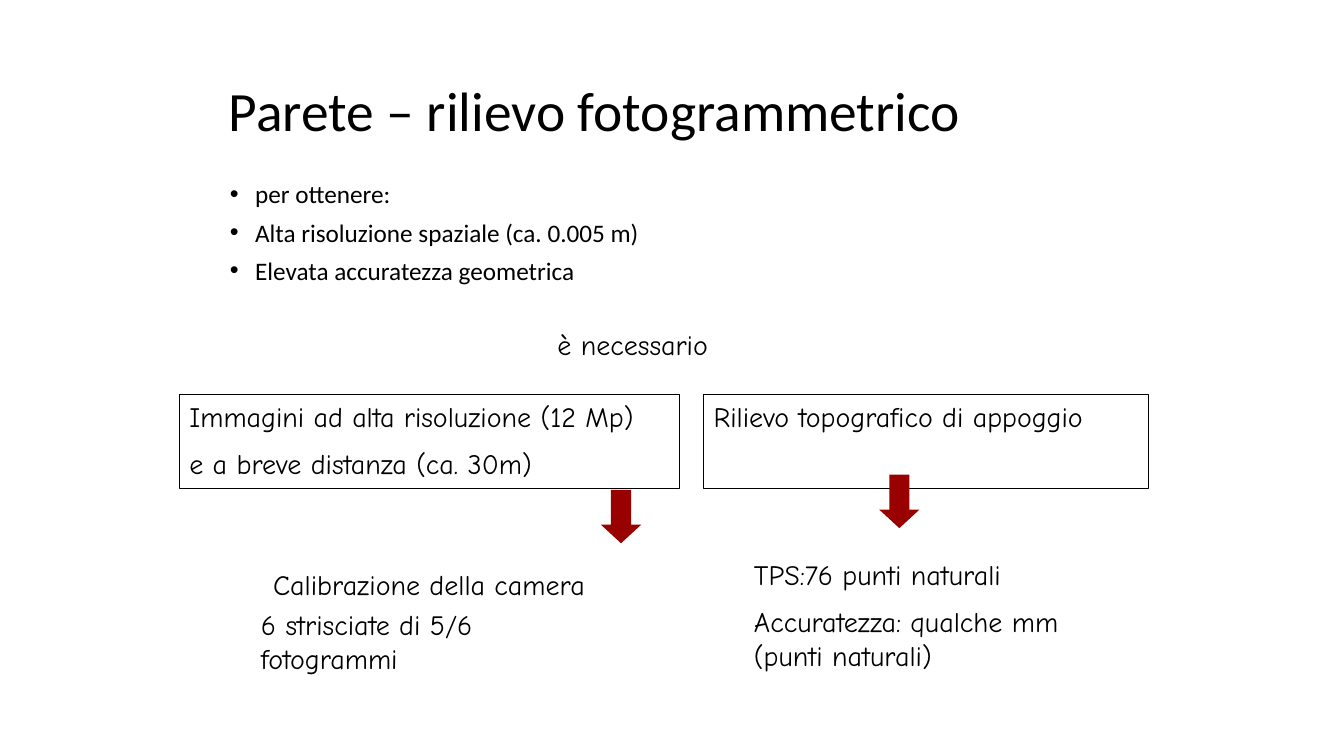
from lxml import etree
from pptx import Presentation
from pptx.dml.color import RGBColor
from pptx.enum.shapes import MSO_SHAPE as Shape
from pptx.enum.text import MSO_ANCHOR as Anchor, MSO_AUTO_SIZE as AutoSize, PP_ALIGN as Align
from pptx.oxml.ns import qn
from pptx.util import Inches, Pt

BLACK = RGBColor(0x00, 0x00, 0x00)
DARK_RED = RGBColor(0x99, 0x00, 0x00)


class SlideBuilder:
    heading_font = "Calibri"
    note_font = "Comic Neue"
    note_size = 20

    def __init__(self, slide):
        self.slide = slide

    def place(self, shape, left, top, width, height):
        shape.left, shape.top = Inches(left), Inches(top)
        shape.width, shape.height = Inches(width), Inches(height)

    def format_text(self, paragraph, font_name, size):
        for run in paragraph.runs:
            run.font.name = font_name
            run.font.size = Pt(size)
            run.font.color.rgb = BLACK

    def title(self, text, *box):
        title = self.slide.shapes.title
        self.place(title, *box)
        frame = title.text_frame
        frame.text = text
        frame.auto_size = AutoSize.NONE
        frame.vertical_anchor = Anchor.MIDDLE
        paragraph = frame.paragraphs[0]
        paragraph.alignment = Align.LEFT
        paragraph.line_spacing = 0.9
        self.format_text(paragraph, self.heading_font, 39.6)

    def bullets(self, items, *box):
        body = self.slide.placeholders[1]
        self.place(body, *box)
        frame = body.text_frame
        frame.text = "\n".join(items)
        frame.auto_size = AutoSize.NONE
        for index, paragraph in enumerate(frame.paragraphs):
            properties = paragraph._p.get_or_add_pPr()
            properties.set("marL", str(Inches(0.25)))
            properties.set("indent", str(-Inches(0.25)))
            etree.SubElement(properties, qn("a:buChar")).set("char", "•")
            paragraph.line_spacing = 0.8
            paragraph.space_before = Pt(10 if index else 0)
            self.format_text(paragraph, self.heading_font, 18)

    def note(self, lines, *box, framed=False, alignment=Align.LEFT):
        lengths = [Inches(value) for value in box]
        if framed:
            shape = self.slide.shapes.add_shape(Shape.RECTANGLE, *lengths)
            shape.shadow.inherit = False
            shape.fill.background()
            shape.line.color.rgb = BLACK
            shape.line.width = Pt(0.75)
        else:
            shape = self.slide.shapes.add_textbox(*lengths)
        frame = shape.text_frame
        frame.text = "\n".join(lines)
        frame.word_wrap = True
        frame.vertical_anchor = Anchor.TOP
        for index, paragraph in enumerate(frame.paragraphs):
            paragraph.alignment = alignment
            paragraph.space_before = Pt(10 if index else 0)
            self.format_text(paragraph, self.note_font, self.note_size)

    def down_arrow(self, left, top):
        arrow = self.slide.shapes.add_shape(
            Shape.DOWN_ARROW, Inches(left), Inches(top), Inches(0.4), Inches(0.53))
        arrow.adjustments[0] = 0.5
        arrow.adjustments[1] = 0.46
        arrow.shadow.inherit = False
        arrow.fill.solid()
        arrow.fill.fore_color.rgb = DARK_RED
        arrow.line.fill.background()


def main():
    presentation = Presentation()
    presentation.slide_width, presentation.slide_height = Inches(13.33), Inches(7.5)
    builder = SlideBuilder(presentation.slides.add_slide(presentation.slide_layouts[1]))

    # Title and goals
    builder.title("Parete – rilievo fotogrammetrico", 2.17, 0.78, 9, 0.7)
    builder.bullets(["per ottenere:", "Alta risoluzione spaziale (ca. 0.005 m)",
                     "Elevata accuratezza geometrica"], 2.18, 1.78, 9, 1.12)

    # Requirements
    builder.note(["è necessario"], 4.15, 3.2, 4.25, 0.43, alignment=Align.CENTER)
    builder.note(["Immagini ad alta risoluzione (12 Mp)", "e a breve distanza (ca. 30m)"],
                 1.78, 3.91, 4.96, 0.94, framed=True)
    builder.note(["Rilievo topografico di appoggio"], 6.98, 3.91, 4.41, 0.94, framed=True)

    # Results below each requirement
    builder.down_arrow(5.96, 4.86)
    builder.down_arrow(8.72, 4.71)
    builder.note(["Calibrazione della camera"], 2.61, 5.58, 4.1, 0.43)
    builder.note(["6 strisciate di 5/6 fotogrammi"], 2.49, 5.98, 3.7, 0.77)
    builder.note(["TPS:76 punti naturali", "Accuratezza: qualche mm (punti naturali)"],
                 7.38, 5.48, 3.7, 1.27)

    presentation.save("out.pptx")


if __name__ == "__main__":
    main()
